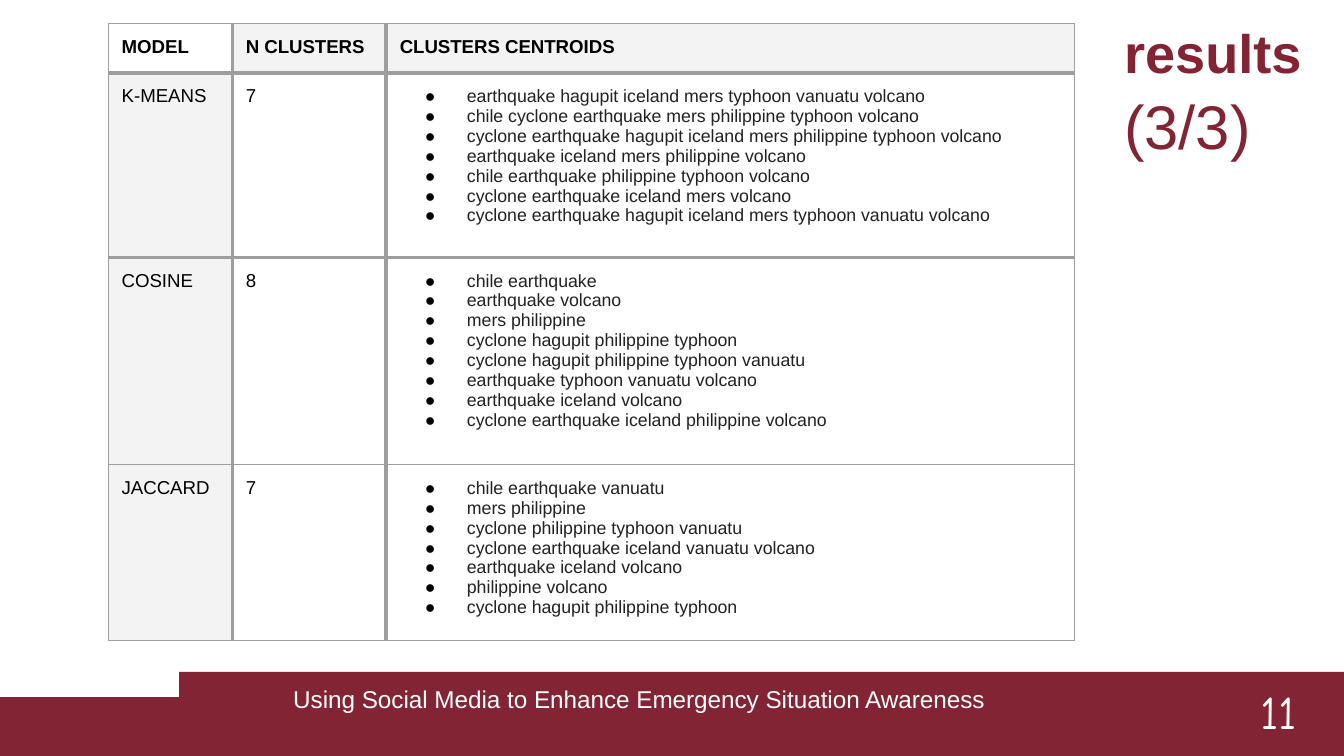
from lxml import etree
from pptx import Presentation
from pptx.dml.color import RGBColor
from pptx.enum.shapes import MSO_SHAPE
from pptx.enum.text import MSO_ANCHOR, PP_ALIGN
from pptx.oxml.ns import qn
from pptx.util import Pt

RECT = MSO_SHAPE.RECTANGLE
TOP, BOTTOM = MSO_ANCHOR.TOP, MSO_ANCHOR.BOTTOM
LEFT, RIGHT = PP_ALIGN.LEFT, PP_ALIGN.RIGHT

WINE, WHITE, BLACK = "822433", "FFFFFF", "000000"
GREY, LINE, INK = "F3F3F3", "9E9E9E", "212121"
SANS, COMIC = "Arial", "Comic Neue"
THIN, THICK = 0.75, 2.25

HEADS = ["MODEL", "N CLUSTERS", "CLUSTERS CENTROIDS"]
MODELS = [
    ("K-MEANS", "7", [
        "earthquake hagupit iceland mers typhoon vanuatu volcano",
        "chile cyclone earthquake mers philippine typhoon volcano",
        "cyclone earthquake hagupit iceland mers philippine typhoon volcano",
        "earthquake iceland mers philippine volcano",
        "chile earthquake philippine typhoon volcano",
        "cyclone earthquake iceland mers volcano",
        "cyclone earthquake hagupit iceland mers typhoon vanuatu volcano",
    ]),
    ("COSINE", "8", [
        "chile earthquake",
        "earthquake volcano",
        "mers philippine",
        "cyclone hagupit philippine typhoon",
        "cyclone hagupit philippine typhoon vanuatu",
        "earthquake typhoon vanuatu volcano",
        "earthquake iceland volcano",
        "cyclone earthquake iceland philippine volcano",
    ]),
    ("JACCARD", "7", [
        "chile earthquake vanuatu",
        "mers philippine",
        "cyclone philippine typhoon vanuatu",
        "cyclone earthquake iceland vanuatu volcano",
        "earthquake iceland volcano",
        "philippine volcano",
        "cyclone hagupit philippine typhoon",
    ]),
]
COLS = [66.5, 82.5, 368.5]
ROWS = [25.5, 99, 111, 89.5]
# Widths of the grid lines, from first edge to last
ACROSS = [THIN, THICK, THICK, THIN, THIN]
DOWN = [THIN, THICK, THICK, THIN]


def rgb(code):
    return RGBColor.from_string(code)


def style(para, size, color, bold=False, font=SANS, align=LEFT):
    para.alignment = align
    for run in para.runs:
        run.font.size = Pt(size)
        run.font.name = font
        run.font.bold = bold
        run.font.color.rgb = rgb(color)


def frame(shape, anchor):
    text = shape.text_frame
    text.word_wrap = True
    text.vertical_anchor = anchor
    text.margin_left = text.margin_right = Pt(7.2)
    text.margin_top = text.margin_bottom = Pt(3.6)
    return text


def band(slide, left, top, width, height):
    shape = slide.shapes.add_shape(RECT, Pt(left), Pt(top), Pt(width), Pt(height))
    shape.shadow.inherit = False
    shape.fill.solid()
    shape.fill.fore_color.rgb = rgb(WINE)
    shape.line.fill.background()


def label(slide, words, left, top, width, height, **look):
    box = slide.shapes.add_textbox(Pt(left), Pt(top), Pt(width), Pt(height))
    text = frame(box, TOP)
    text.text = words
    style(text.paragraphs[0], color=WHITE, **look)


def footer(slide, left, top, width, height):
    step = 13.5
    band(slide, left, top + step, width, height - step)
    band(slide, left + 96, top, width - 96, height)
    label(slide, "Using Social Media to Enhance Emergency Situation Awareness",
          left + 150, top + 3, 388, 27, size=13)
    label(slide, "11", left + 552, top + 2, 150, 27, size=25, font=COMIC, align=RIGHT)


def bullet(para):
    props = para._p.get_or_add_pPr()
    props.set("marL", str(Pt(36)))
    props.set("indent", str(Pt(-22.5)))
    color = etree.SubElement(props, qn("a:buClr"))
    etree.SubElement(color, qn("a:srgbClr"), val=BLACK)
    etree.SubElement(props, qn("a:buFont"), typeface=SANS)
    etree.SubElement(props, qn("a:buChar"), char="●")


def border(cell, row, col):
    props = cell._tc.get_or_add_tcPr()
    sides = {"L": DOWN[col], "R": DOWN[col + 1], "T": ACROSS[row], "B": ACROSS[row + 1]}
    for side, width in sides.items():
        line = etree.SubElement(props, qn("a:ln" + side), w=str(Pt(width)))
        fill = etree.SubElement(line, qn("a:solidFill"))
        etree.SubElement(fill, qn("a:srgbClr"), val=LINE)


def fill_cell(cell, row, col, words):
    border(cell, row, col)
    cell.fill.solid()
    cell.fill.fore_color.rgb = rgb(GREY if (row == 0) != (col == 0) else WHITE)
    cell.margin_left = cell.margin_right = Pt(7.2)
    cell.margin_top = cell.margin_bottom = Pt(7.2)
    cell.vertical_anchor = TOP
    listed = isinstance(words, list)
    cell.text_frame.text = "\n".join(words) if listed else words
    for para in cell.text_frame.paragraphs:
        if listed:
            style(para, 9.5, INK)
            bullet(para)
        else:
            style(para, 10, BLACK, bold=row == 0)


def centroids(slide, left, top):
    """Table of the cluster centroids found by each model."""
    data = [HEADS, *MODELS]
    table = slide.shapes.add_table(len(ROWS), len(COLS), Pt(left), Pt(top),
                                   Pt(sum(COLS)), Pt(sum(ROWS))).table
    table.first_row = table.horz_banding = False
    for col, width in zip(table.columns, COLS):
        col.width = Pt(width)
    for row, height in zip(table.rows, ROWS):
        row.height = Pt(height)
    for i, line in enumerate(data):
        for j, words in enumerate(line):
            fill_cell(table.cell(i, j), i, j, words)


def heading(slide, left, top, width, height):
    title = slide.shapes.title
    title.left, title.top = Pt(left), Pt(top)
    title.width, title.height = Pt(width), Pt(height)
    text = frame(title, BOTTOM)
    text.text = "results\n(3/3)"
    first, second = text.paragraphs
    style(first, 29, WINE, bold=True)
    style(second, 33, WINE)
    first.space_after = Pt(2)
    second.space_before = Pt(0)


def main():
    deck = Presentation()
    deck.slide_width, deck.slide_height = Pt(720), Pt(405)
    slide = deck.slides.add_slide(deck.slide_layouts[0])
    spare = slide.placeholders[1].element
    spare.getparent().remove(spare)
    footer(slide, 0, 360, 720, 45)
    centroids(slide, 58, 12.5)
    heading(slide, 595, 6.5, 122.5, 84)
    deck.save("out.pptx")


if __name__ == "__main__":
    main()
